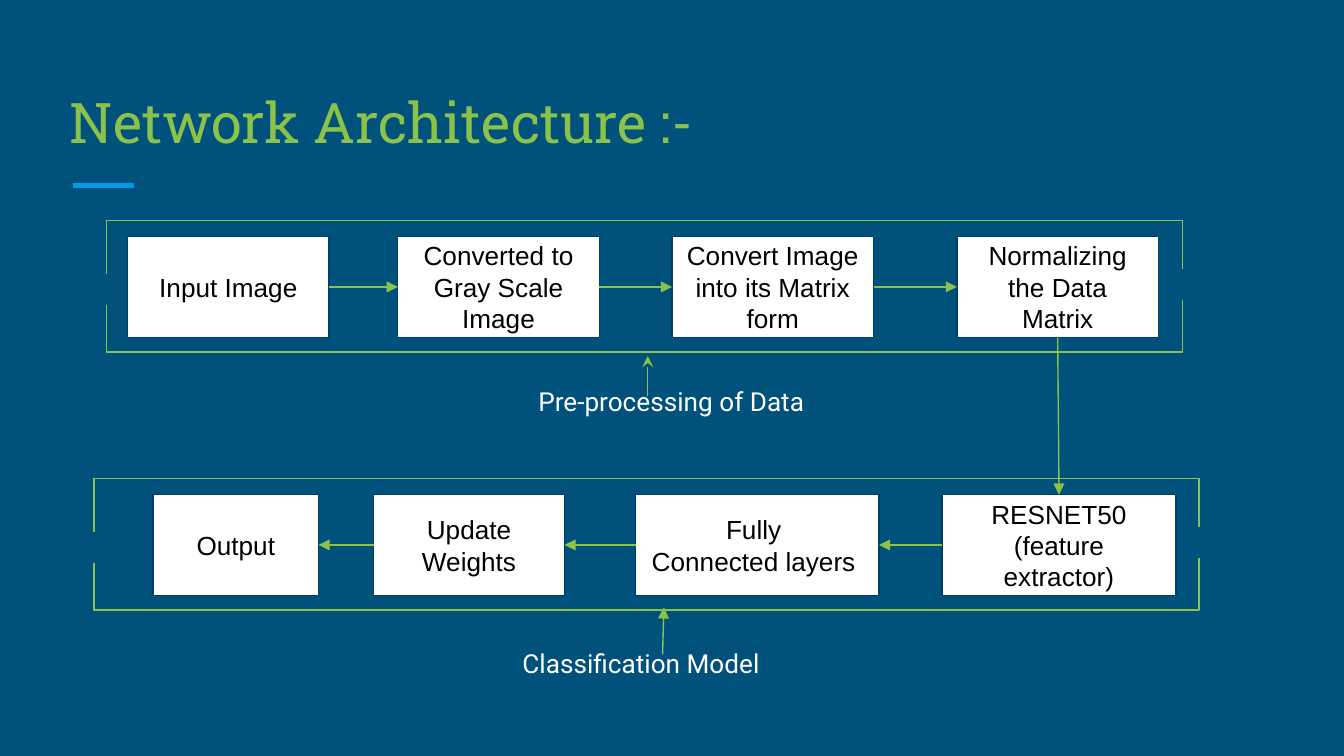
"""Build the network architecture slide."""
from itertools import pairwise

from lxml.etree import SubElement as Sub
from pptx import Presentation as Deck
from pptx.dml.color import RGBColor as Rgb
from pptx.enum.shapes import MSO_CONNECTOR as Conn, MSO_SHAPE as Kind
from pptx.enum.text import MSO_ANCHOR as Anchor, MSO_AUTO_SIZE as Fit, PP_ALIGN as Align
from pptx.oxml.ns import qn
from pptx.util import Inches, Pt

HUES = {"back": "00517C", "green": "8BC34A", "blue": "039BE5",
        "edge": "004065", "white": "FFFFFF", "black": "000000"}
FRAME = {"word_wrap": True, "auto_size": Fit.NONE,
         **{f"margin_{side}": Inches(0.1) for side in ("left", "right", "top", "bottom")}}
TITLE = {"name": "Roboto Slab", "size": Pt(30)}
NODE = {"name": "Arial", "size": Pt(14)}
LABEL = {"name": "Roboto", "size": Pt(14)}
TALL = 0.75

TOP = [(0.95, 1.5, "Input Image"),
       (2.96, 1.5, "Converted to Gray Scale Image"),
       (5, 1.5, "Convert Image into its Matrix form"),
       (7.12, 1.5, "Normalizing the Data Matrix")]
LOW = [(7.01, 1.74, "RESNET50\n(feature extractor)"),
       (4.73, 1.81, "Fully \nConnected layers "),
       (2.78, 1.42, "Update Weights"),
       (1.14, 1.23, "Output")]


def hue(name):
    return Rgb.from_string(HUES[name])


def apply(item, values):
    for key, value in values.items():
        setattr(item, key, value)


def write(shape, text, style, color, align=Align.CENTER, anchor=Anchor.TOP):
    frame = shape.text_frame
    frame.text = text
    apply(frame, {**FRAME, "vertical_anchor": anchor})
    for para in frame.paragraphs:
        para.alignment = align
        apply(para.font, style)
        para.font.color.rgb = hue(color)


def stroke(shape, color, width=0.75):
    shape.line.color.rgb = hue(color)
    shape.line.width = Pt(width)


def head(slide, text):
    title = slide.shapes.title
    apply(title, {"left": Inches(0.42), "top": Inches(0.5),
                  "width": Inches(9.15), "height": Inches(0.75)})
    write(title, text, TITLE, "green", Align.LEFT, Anchor.BOTTOM)


def line(slide, start, end, color="green", width=0.75, tip="triangle"):
    link = slide.shapes.add_connector(Conn.STRAIGHT, *map(Inches, start + end))
    stroke(link, color, width)
    if tip:
        Sub(link.line._get_or_add_ln(), qn("a:tailEnd"), type=tip)
    Sub(link._element.spPr, qn("a:effectLst"))


def node(slide, left, top, width, text):
    box = slide.shapes.add_shape(Kind.RECTANGLE, *map(Inches, (left, top, width, TALL)))
    box.shadow.inherit = False
    box.fill.solid()
    box.fill.fore_color.rgb = hue("white")
    stroke(box, "edge")
    write(box, text, NODE, "black", anchor=Anchor.MIDDLE)


def chain(slide, top, nodes):
    for left, width, text in nodes:
        node(slide, left, top, width, text)
    mid = top + TALL / 2
    for (left, width, _), (goal, span, _) in pairwise(nodes):
        if goal > left:
            line(slide, (left + width, mid), (goal, mid))
        else:
            line(slide, (left, mid), (goal + span, mid))


def bracket(slide, left, right, edge, stop):
    points = [(left, edge), (right, edge), (right, stop - 0.04)]
    pen = slide.shapes.build_freeform(Inches(left), Inches(stop))
    pen.add_line_segments([tuple(map(Inches, spot)) for spot in points], close=False)
    shape = pen.convert_to_shape()
    shape.shadow.inherit = False
    shape.fill.background()
    stroke(shape, "green")


def group(slide, left, right, top):
    bracket(slide, left, right, top, top + 0.4)
    bracket(slide, left, right, top + 0.98, top + 0.63)


def label(slide, left, top, width, height, text):
    box = slide.shapes.add_textbox(*map(Inches, (left, top, width, height)))
    write(box, text, LABEL, "white")


def main():
    deck = Deck()
    wide = Inches(10)
    apply(deck, {"slide_width": wide, "slide_height": wide * 9 // 16})
    slide = deck.slides.add_slide(deck.slide_layouts[5])
    slide.background.fill.solid()
    slide.background.fill.fore_color.rgb = hue("back")
    line(slide, (0.54, 1.38), (1, 1.38), "blue", 3, None)
    head(slide, "Network Architecture :-")
    chain(slide, 1.76, TOP)
    group(slide, 0.79, 8.8, 1.64)
    label(slide, 3.65, 2.77, 2.69, 0.4, "Pre-processing of Data")
    line(slide, (4.82, 2.95), (4.82, 2.65), tip="stealth")
    chain(slide, 3.68, LOW)
    line(slide, (7.87, 2.51), (7.88, 3.68))
    group(slide, 0.7, 8.92, 3.56)
    label(slide, 3.16, 4.72, 3.22, 0.53, "Classification Model")
    line(slide, (4.93, 4.87), (4.94, 4.52))
    deck.save("out.pptx")


if __name__ == "__main__":
    main()
